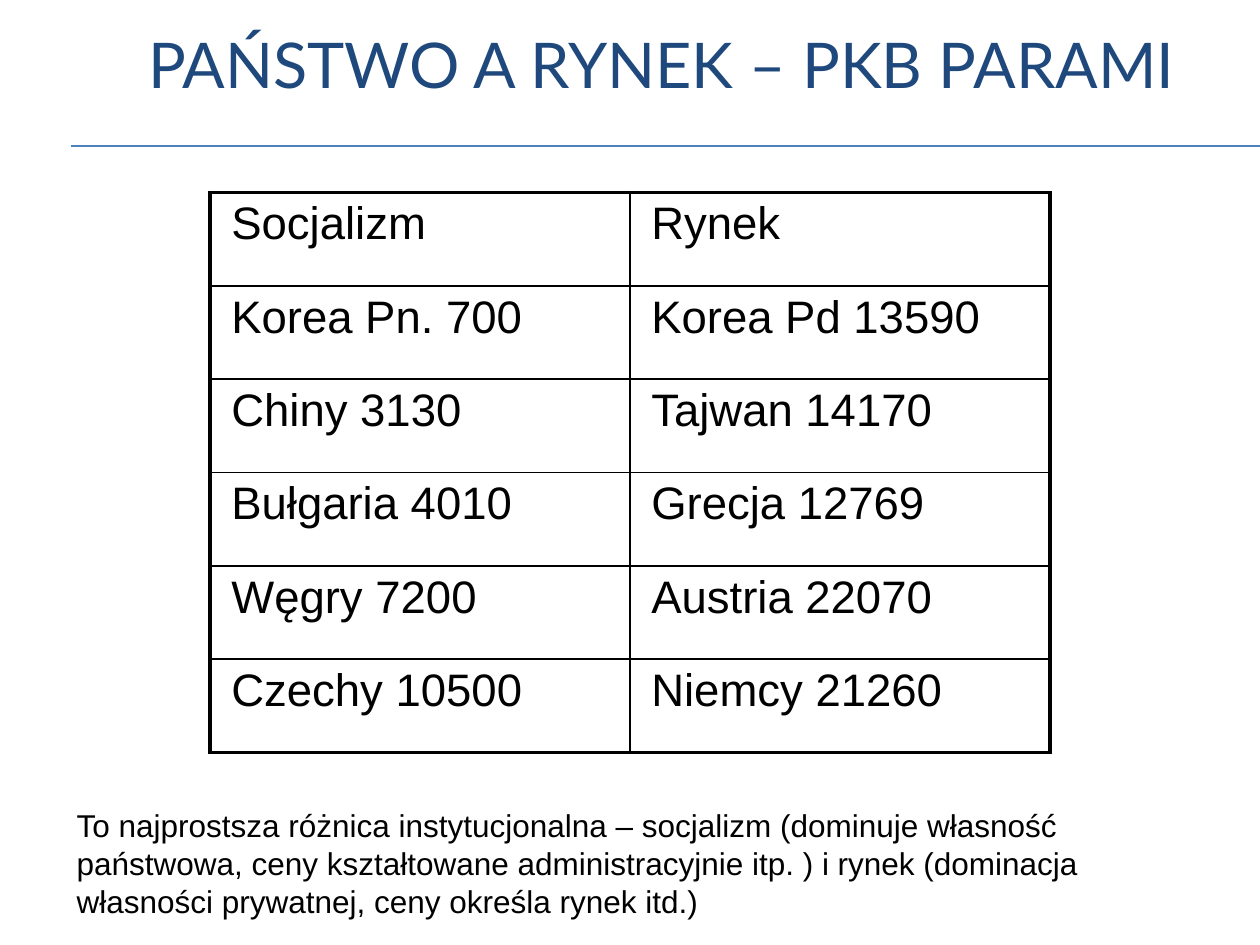
from pptx import Presentation
from pptx.dml.color import RGBColor
from pptx.enum.shapes import MSO_CONNECTOR
from pptx.enum.text import MSO_ANCHOR, PP_ALIGN
from pptx.oxml.ns import qn
from pptx.util import Pt
from lxml.etree import SubElement

TITLE = "PAŃSTWO A RYNEK – PKB PARAMI"
ROWS = [
    ("Socjalizm", "Rynek"),
    ("Korea Pn. 700", "Korea Pd 13590"),
    ("Chiny 3130", "Tajwan 14170"),
    ("Bułgaria 4010", "Grecja 12769"),
    ("Węgry 7200", "Austria 22070"),
    ("Czechy 10500", "Niemcy 21260"),
]
NOTE = (
    "To najprostsza różnica instytucjonalna – socjalizm (dominuje własność "
    "państwowa, ceny kształtowane administracyjnie itp. ) i rynek (dominacja "
    "własności prywatnej, ceny określa rynek itd.)"
)
TITLE_FONT = {"name": "Lato", "size": Pt(36)}
CELL_FONT = {"name": "Arial", "size": Pt(26)}
NOTE_FONT = {"name": "Arial", "size": Pt(18)}
RULES_Y = (83, 83.5)
COL_W, ROW_H = 240, 53.33
OUTER, INNER = 2.25, 1


def rgb(value):
    return RGBColor.from_string(value)


def write(tf, text, font, color="000000"):
    p = tf.paragraphs[0]
    r = p.add_run()
    r.text = text
    for name, value in font.items():
        setattr(r.font, name, value)
    r.font.color.rgb = rgb(color)
    return p


def add_text(s, box, text, font, color="000000"):
    tf = s.shapes.add_textbox(*map(Pt, box)).text_frame
    tf.word_wrap = True
    return tf, write(tf, text, font, color)


def add_rule(s, y):
    line = s.shapes.add_connector(MSO_CONNECTOR.STRAIGHT, Pt(40.5), Pt(y), Pt(720), Pt(y))
    line.line.color.rgb = rgb("4F81BD")
    line.line.width = Pt(0.75)
    SubElement(line._element.spPr, qn("a:effectLst"))


def set_borders(cell, widths):
    tcPr = cell._tc.get_or_add_tcPr()
    for side, width in widths.items():
        ln = SubElement(tcPr, qn(f"a:ln{side}"), w=str(Pt(width)))
        fill = SubElement(ln, qn("a:solidFill"))
        SubElement(fill, qn("a:srgbClr"), val="000000")


def add_pairs(s):
    n_rows, n_cols = len(ROWS), len(ROWS[0])
    frame = s.shapes.add_table(
        n_rows, n_cols, Pt(120), Pt(110), Pt(COL_W * n_cols), Pt(ROW_H * n_rows)
    )
    table = frame.table
    table.first_row = table.horz_banding = False
    for i, row in enumerate(ROWS):
        table.rows[i].height = Pt(ROW_H)
        for j, text in enumerate(row):
            cell = table.cell(i, j)
            p = write(cell.text_frame, text, CELL_FONT)
            p.space_before = Pt(7)
            p._p.get_or_add_pPr().set("marL", str(Pt(5)))
            edges = {"L": j == 0, "R": j == n_cols - 1, "T": i == 0, "B": i == n_rows - 1}
            set_borders(cell, {k: OUTER if edge else INNER for k, edge in edges.items()})
            cell.fill.background()


def main():
    prs = Presentation()
    prs.slide_width, prs.slide_height = Pt(720), Pt(540)
    s = prs.slides.add_slide(prs.slide_layouts[6])
    for y in RULES_Y:
        add_rule(s, y)
    tf, p = add_text(s, (72, 0, 612, 72), TITLE, TITLE_FONT, "1F497D")
    tf.vertical_anchor = MSO_ANCHOR.MIDDLE
    p.alignment = PP_ALIGN.CENTER
    add_pairs(s)
    add_text(s, (36.75, 457, 652, 73), NOTE, NOTE_FONT)
    prs.save("out.pptx")


if __name__ == "__main__":
    main()
